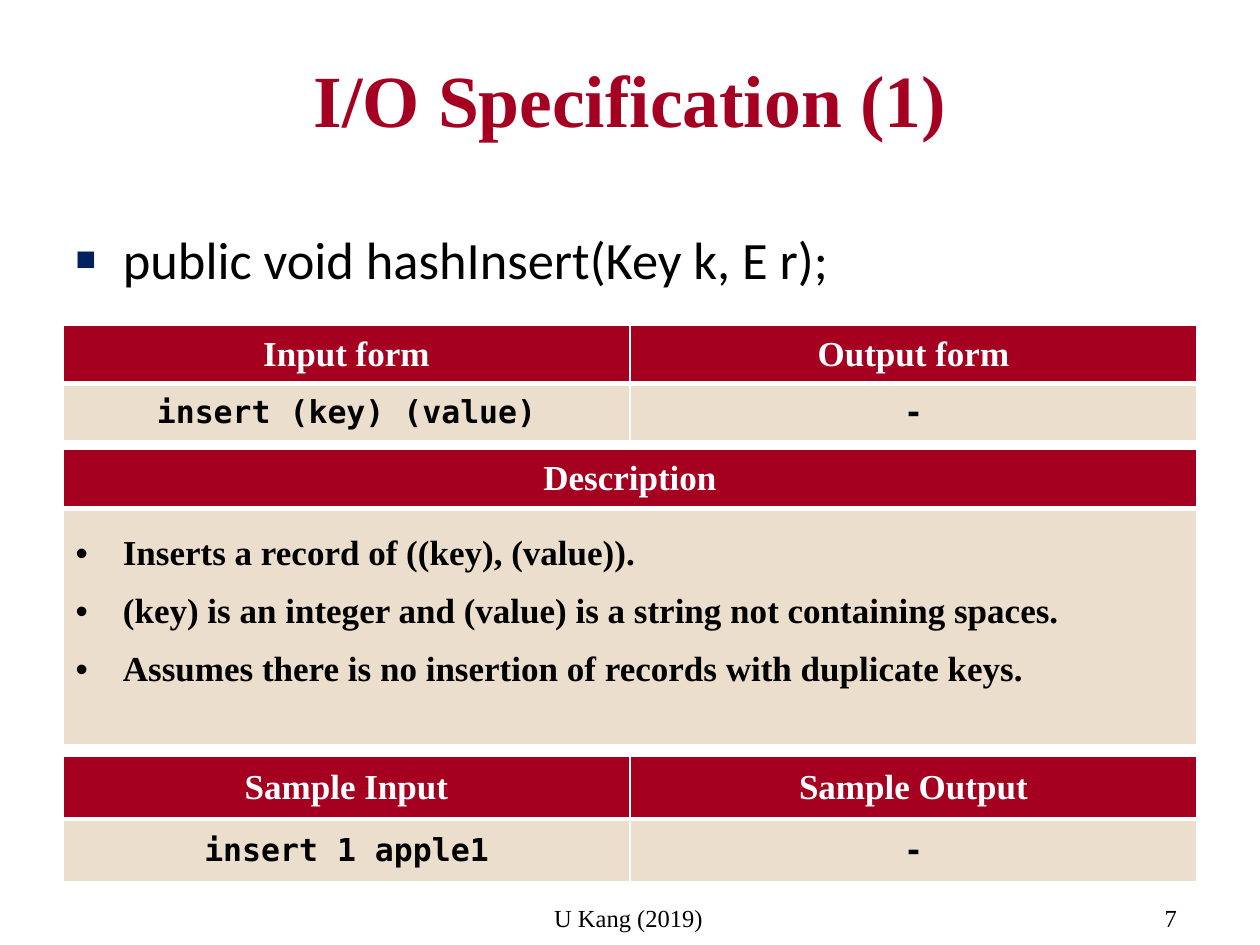
import pptx
import pptx.util
import pptx.dml.color
import pptx.enum.text
import pptx.oxml.ns
import lxml.etree

Pt = pptx.util.Pt
RGB = pptx.dml.color.RGBColor
ALIGN = pptx.enum.text.PP_ALIGN
ANCHOR = pptx.enum.text.MSO_ANCHOR
RED = RGB(0xA5, 0x00, 0x21)
HEAD = RGB(0xA5, 0x00, 0x20)
SAND = RGB(0xEC, 0xDE, 0xCC)
NAVY = RGB(0x00, 0x20, 0x60)
WHITE = RGB(0xFF, 0xFF, 0xFF)
BLACK = RGB(0x00, 0x00, 0x00)
SERIF = "Times New Roman"
MONO = "DejaVu Sans Mono"
LEFT, WIDTH = 36, 648


def style(para, face, size, color, bold=False):
    for run in para.runs:
        font = run.font
        font.name, font.size, font.bold = face, Pt(size), bold
        font.color.rgb = color


def node(root, tag, **attrs):
    return lxml.etree.SubElement(root, pptx.oxml.ns.qn(tag), **attrs)


def bullet(para, char, face, color=None, size=None):
    props = para._p.get_or_add_pPr()
    props.set("marL", str(Pt(27)))
    props.set("indent", str(-Pt(27)))
    if color is not None:
        node(node(props, "a:buClr"), "a:srgbClr", val=str(color))
    if size:
        node(props, "a:buSzPct", val=str(size * 1000))
    node(props, "a:buFont", typeface=face)
    node(props, "a:buChar", char=char)


def place(shape, top, height):
    shape.left, shape.top = Pt(LEFT), Pt(top)
    shape.width, shape.height = Pt(WIDTH), Pt(height)


def title(slide, text):
    shape = slide.shapes.title
    place(shape, 21.6, 90)
    frame = shape.text_frame
    frame.text = text
    frame.vertical_anchor = ANCHOR.TOP
    frame.margin_top = Pt(9)
    para = frame.paragraphs[0]
    para.alignment = ALIGN.CENTER
    style(para, SERIF, 42, RED, True)


def body(slide, text):
    shape = slide.placeholders[1]
    place(shape, 126, 378)
    shape.text_frame.text = text
    para = shape.text_frame.paragraphs[0]
    para.space_before = Pt(6)
    style(para, "Calibri", 30, BLACK)
    bullet(para, "■", "Arial", NAVY, 65)


def border(cell, low):
    props = cell._tc.get_or_add_tcPr()
    for side, width in zip("LRTB", (1, 1, 1, low)):
        line = node(props, "a:ln" + side, w=str(Pt(width)))
        node(node(line, "a:solidFill"), "a:srgbClr", val=str(WHITE))


def fill(cell, text, top):
    cell.text = text
    border(cell, 3 if top else 1)
    cell.fill.solid()
    cell.fill.fore_color.rgb = HEAD if top else SAND
    cell.vertical_anchor = ANCHOR.MIDDLE
    for para in cell.text_frame.paragraphs:
        para.alignment = ALIGN.CENTER
        if top:
            style(para, SERIF, 20, WHITE, True)
        else:
            style(para, MONO, 18, BLACK, True)


def grid(slide, top, highs, rows):
    cols = len(rows[0])
    frame = slide.shapes.add_table(
        len(rows), cols, Pt(LEFT), Pt(top), Pt(WIDTH), Pt(sum(highs)))
    table = frame.table
    for col in table.columns:
        col.width = Pt(WIDTH / cols)
    for i, row in enumerate(rows):
        table.rows[i].height = Pt(highs[i])
        for j, text in enumerate(row):
            fill(table.cell(i, j), text, i == 0)
    return table


def listing(cell):
    cell.vertical_anchor = ANCHOR.TOP
    for para in cell.text_frame.paragraphs:
        para.alignment = ALIGN.LEFT
        para.line_spacing = 1.5
        style(para, SERIF, 20, BLACK, True)
        bullet(para, "•", "Arial")


def foot(slide, text, left, width):
    box = slide.shapes.add_textbox(Pt(left), Pt(512.6), Pt(width), Pt(24.5))
    box.text_frame.word_wrap = False
    box.text_frame.text = text
    style(box.text_frame.paragraphs[0], SERIF, 14, BLACK)


def main():
    deck = pptx.Presentation()
    deck.slide_width, deck.slide_height = Pt(720), Pt(540)
    slide = deck.slides.add_slide(deck.slide_layouts[1])
    foot(slide, "U Kang (2019)", 309.6, 100)
    foot(slide, "7", 658.5, 31)
    title(slide, "I/O Specification (1)")
    body(slide, "public void hashInsert(Key k, E r);")
    grid(slide, 186, (33, 33), (
        ("Input form", "Output form"), ("insert (key) (value)", "-")))
    grid(slide, 432, (36, 36), (
        ("Sample Input", "Sample Output"), ("insert 1 apple1", "-")))
    notes = "\n".join((
        "Inserts a record of ((key), (value)).",
        "(key) is an integer and (value) is a string not containing spaces.",
        "Assumes there is no insertion of records with duplicate keys."))
    table = grid(slide, 256.5, (34, 135), (("Description",), (notes,)))
    listing(table.cell(1, 0))
    deck.save("out.pptx")


main()
